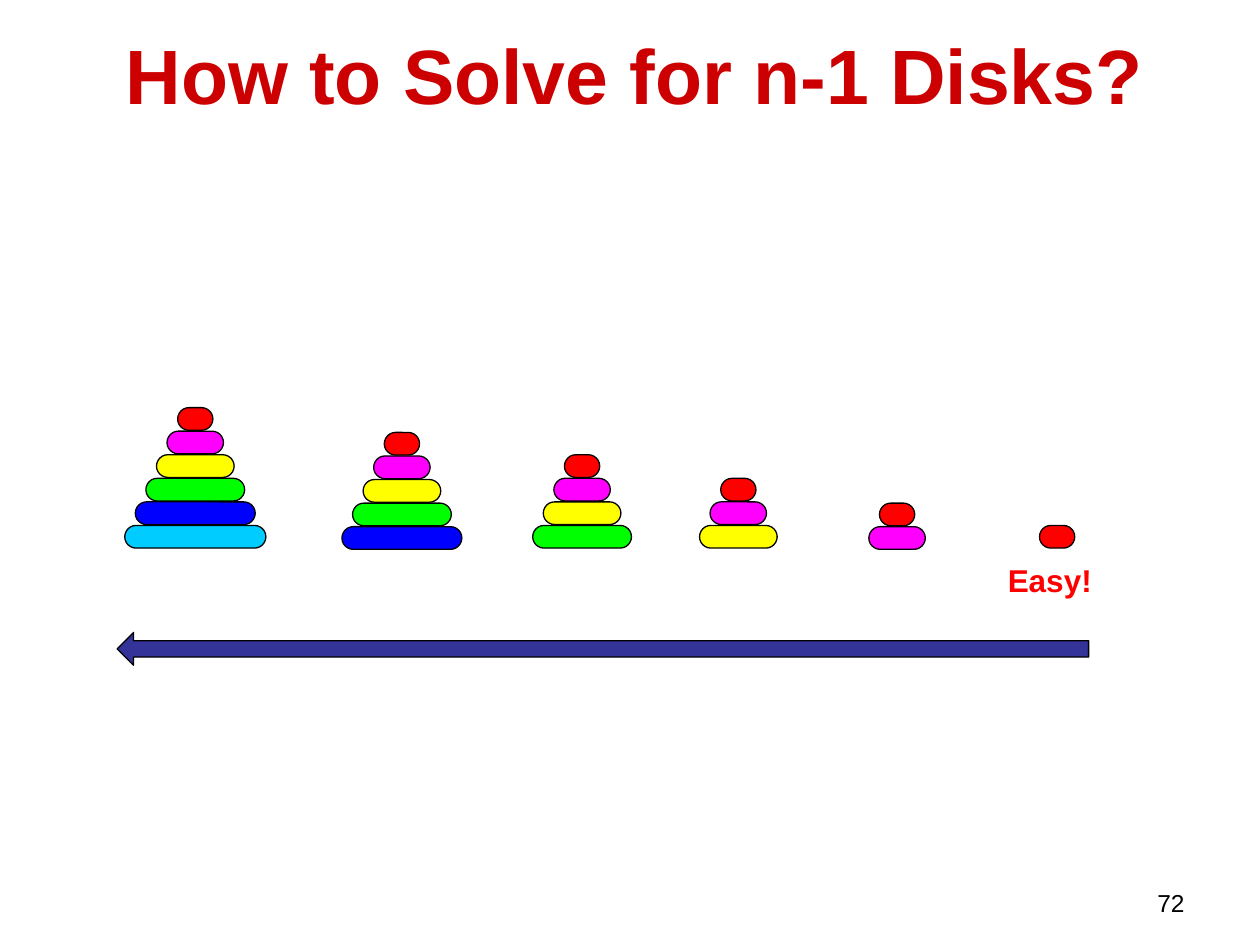
from pptx import Presentation
from pptx.dml.color import RGBColor
from pptx.enum.shapes import MSO_SHAPE
from pptx.enum.text import MSO_ANCHOR, PP_ALIGN
from pptx.util import Inches, Pt

THEME = {
    "font": "Arial",
    "title": (44, "CC0000", True),
    "label": (18, "FF0000", True),
    "number": (14, "000000", False),
    "arrow": "333399",
    "line": "000000",
}
TITLE = "How to Solve for n-1 Disks?"
LABEL = "Easy!"
PAGE = "72"
DISK_COLORS = ["FF0000", "FF00FF", "FFFF00", "00FF00", "0000FF", "00CCFF"]
TOWERS = [(6, 1.55, 4.17), (5, 3.19, 4.18), (4, 4.62, 4.17),
          (3, 5.86, 4.17), (2, 7.12, 4.18), (1, 8.39, 4.17)]
DISK_W, DISK_H = 0.28, 0.18
WIDEN, RISE = 0.168, 0.187


def write(tf, text, style, align):
    size, color, bold = THEME[style]
    tf.word_wrap = True
    p = tf.paragraphs[0]
    p.text = text
    p.alignment = align
    p.space_before = Pt(0)
    p.font.name = THEME["font"]
    p.font.size = Pt(size)
    p.font.bold = bold
    p.font.color.rgb = RGBColor.from_string(color)


def add_text(slide, box, text, style, align):
    tb = slide.shapes.add_textbox(*map(Inches, box))
    write(tb.text_frame, text, style, align)


def add_block(shapes, kind, box, color, adjustments):
    sp = shapes.add_shape(kind, *map(Inches, box))
    for i, value in enumerate(adjustments):
        sp.adjustments[i] = value
    sp.shadow.inherit = False
    sp.fill.solid()
    sp.fill.fore_color.rgb = RGBColor.from_string(color)
    sp.line.color.rgb = RGBColor.from_string(THEME["line"])
    sp.line.width = Pt(0.75)


def add_tower(slide, count, center, base):
    shapes = slide.shapes.add_group_shape().shapes if count > 1 else slide.shapes
    for i in reversed(range(count)):
        width = DISK_W + i * WIDEN
        top = base - (count - 1 - i) * RISE
        add_block(shapes, MSO_SHAPE.ROUNDED_RECTANGLE,
                  (center - width / 2, top, width, DISK_H), DISK_COLORS[i], [0.5])


def main():
    prs = Presentation()
    prs.slide_width, prs.slide_height = Inches(10), Inches(7.5)
    slide = prs.slides.add_slide(prs.slide_layouts[5])

    title = slide.shapes.title
    title.left, title.top, title.width, title.height = map(Inches, (0.83, 0, 8.42, 1.17))
    write(title.text_frame, TITLE, "title", PP_ALIGN.CENTER)
    title.text_frame.vertical_anchor = MSO_ANCHOR.MIDDLE

    for count, center, base in TOWERS:
        add_tower(slide, count, center, base)

    add_text(slide, (7.9, 4.4, 0.94, 0.4), LABEL, "label", PP_ALIGN.LEFT)
    add_block(slide.shapes, MSO_SHAPE.LEFT_ARROW, (0.93, 5.02, 7.71, 0.26),
              THEME["arrow"], [0.5, 0.5])
    add_text(slide, (7.17, 7, 2.33, 0.25), PAGE, "number", PP_ALIGN.RIGHT)

    prs.save("out.pptx")


if __name__ == "__main__":
    main()
